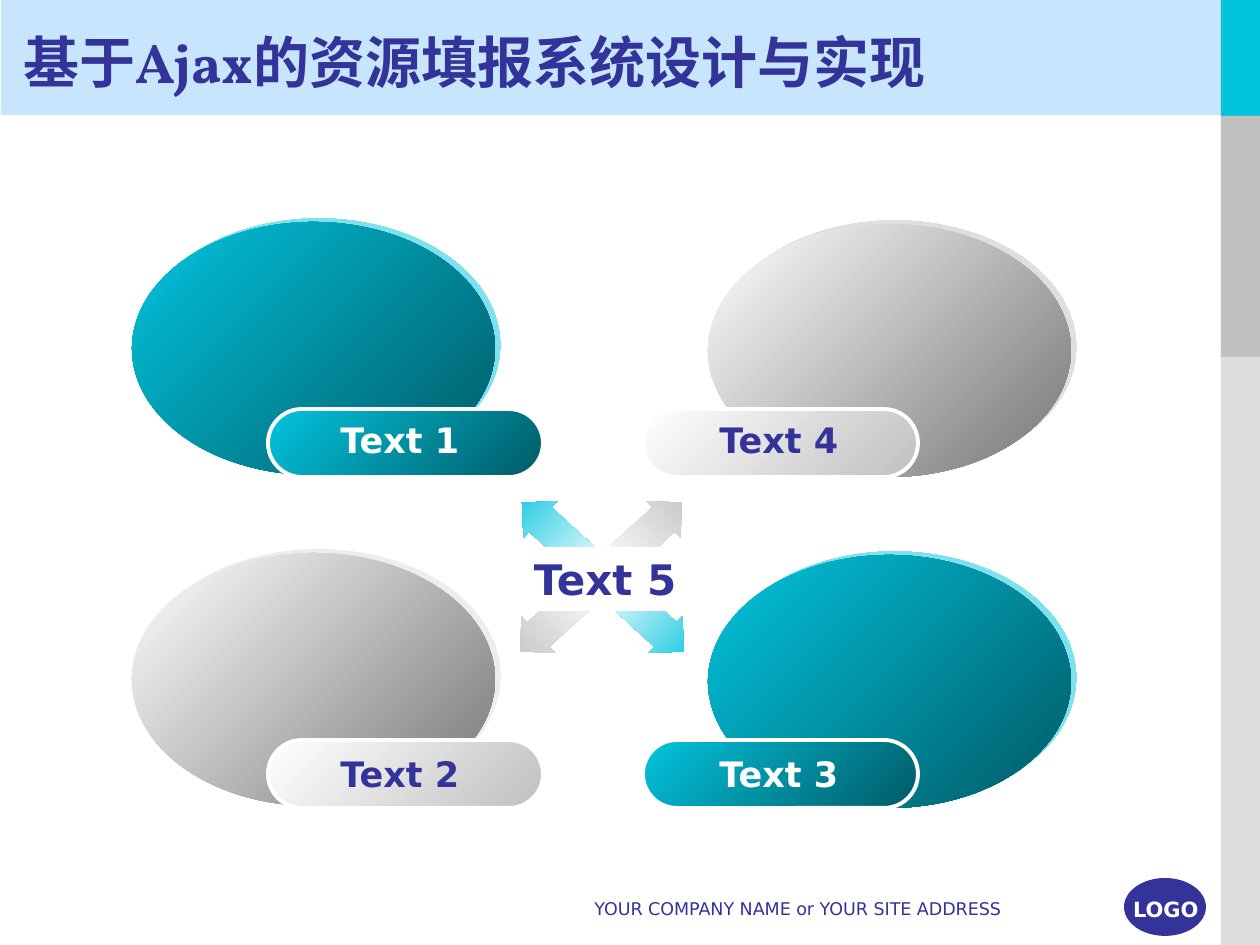
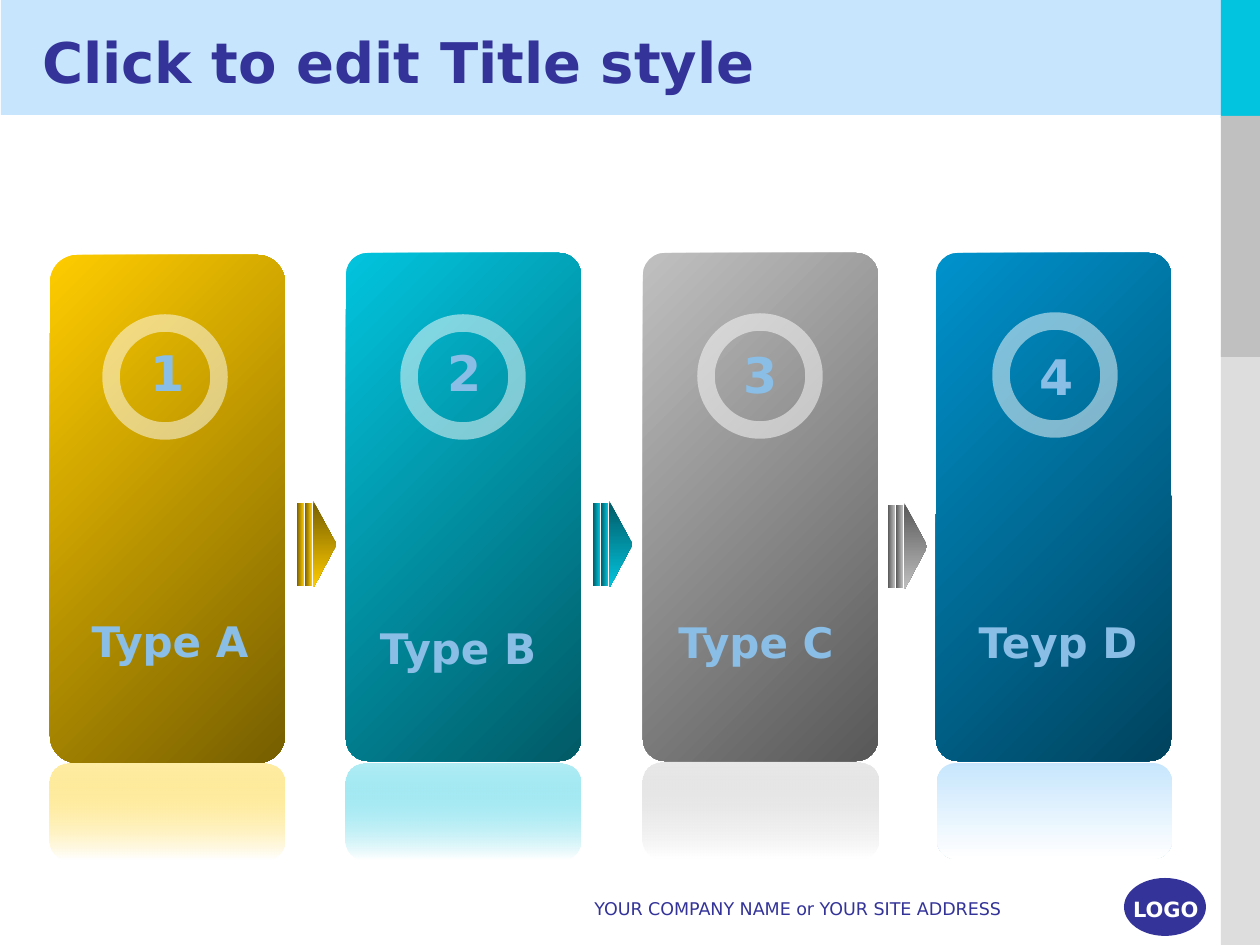
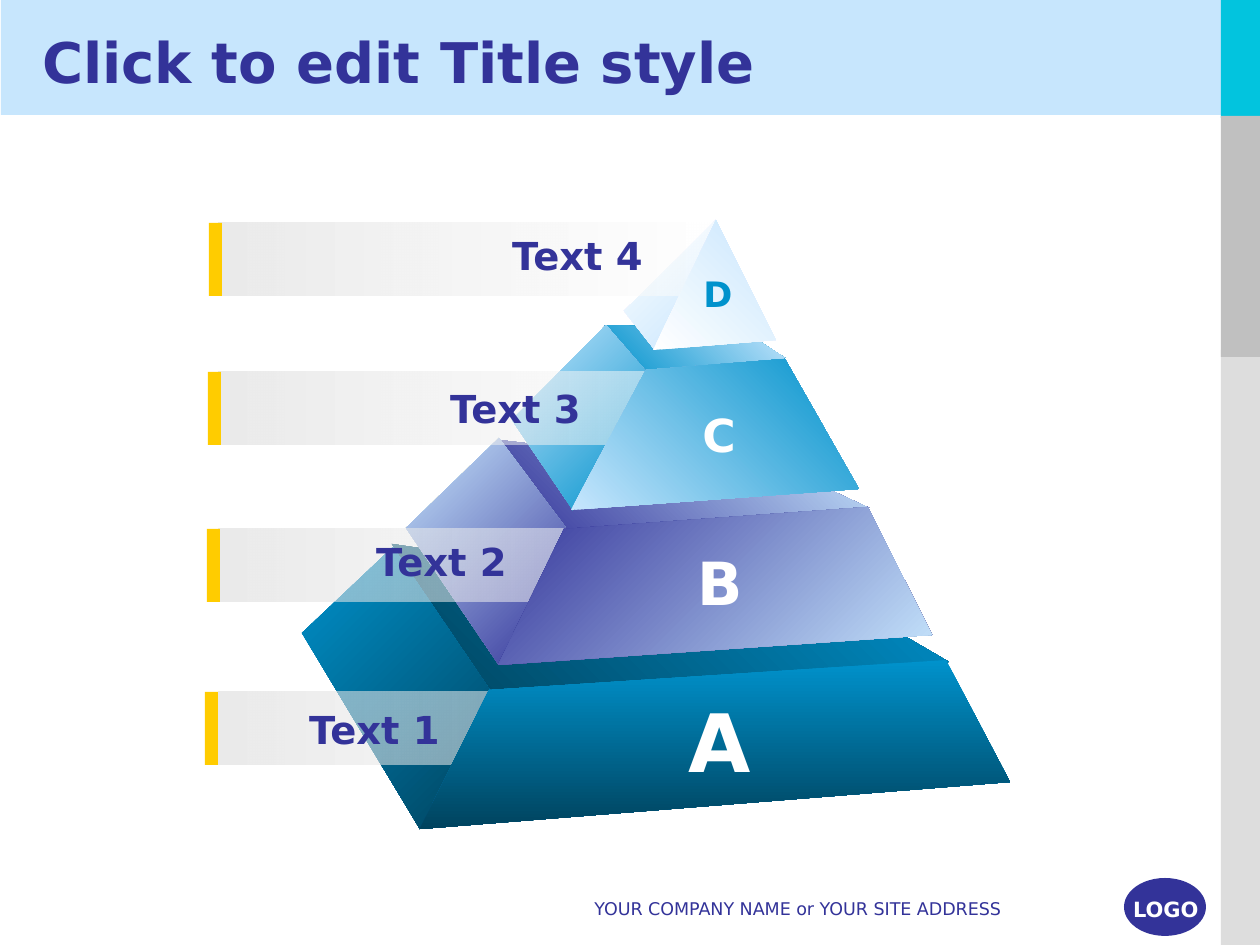
from dataclasses import dataclass

from lxml.etree import SubElement
from pptx import Presentation
from pptx.dml.color import RGBColor
from pptx.enum.shapes import MSO_SHAPE as Preset
from pptx.enum.text import MSO_ANCHOR as Anchor, PP_ALIGN as Align
from pptx.oxml.ns import qn
from pptx.util import Pt

PX = 914400 / 126


@dataclass(frozen=True)
class Theme:
    # Colours
    ink: str = "333399"
    white: str = "FFFFFF"
    pale: str = "C7E6FD"
    cyan: str = "02C4DE"
    cyan_dark: str = "015A66"
    gold: str = "FFCC00"
    gold_dark: str = "765E00"
    gray: str = "C0C0C0"
    gray_dark: str = "585858"
    gray_mid: str = "767676"
    gray_light: str = "DDDDDD"
    blue: str = "0092CC"
    blue_dark: str = "00435E"
    sky: str = "8ABEE6"
    # Fonts and type sizes
    font: str = "DejaVu Sans"
    cjk: str = "Noto Sans CJK SC"
    serif: str = "Vollkorn"
    title: int = 32
    number: int = 28
    heading: int = 24
    ribbon: int = 22
    label: int = 20
    logo: int = 12
    footer: int = 10


T = Theme()

# Content shared by all slides
BAND = (1, 0, 1259, 115)
SIDEBAR = [((1221, 350, 39, 595), T.gray_light),
           ((1221, 0, 39, 118), T.cyan),
           ((1221, 116, 39, 241), T.gray)]
LOGO = "LOGO"
FOOTER = "YOUR COMPANY NAME or YOUR SITE ADDRESS"
SAMPLE_TITLE = [("Click to edit Title style", T.font)]

# Slide 1: four ovals around a centre
AJAX_TITLE = [("基于", T.cjk), ("Ajax", T.serif), ("的资源填报系统设计与实现", T.cjk)]
CENTRE = "Text 5"
# text, column, row, is cyan, shadow colour
OVALS = [("Text 1", 0, 0, True, T.cyan),
         ("Text 4", 1, 0, False, T.gray),
         ("Text 2", 0, 1, False, T.gray_light),
         ("Text 3", 1, 1, True, T.cyan)]
# left, rotation, colour
CROSS_ARROWS = [(578, 312.6, T.cyan), (576, 47.4, T.gray)]

# Slide 2: number, name, colours, reflection (colour, opacity), then places
CARDS = [
    dict(number="1", name="Type A", fill=(T.gold, T.gold_dark), mirror=(T.gold, 35),
         card=(50, 255), corner=0.116, mirror_at=(49, 764), ring=(111, 323),
         number_at=(126, 333), name_at=(44, 591)),
    dict(number="2", name="Type B", fill=(T.cyan, T.cyan_dark), mirror=(T.cyan, 30),
         card=(346, 253), corner=0.092, mirror_at=(345, 764), ring=(409, 323),
         number_at=(423, 333), name_at=(332, 598)),
    dict(number="3", name="Type C", fill=(T.gray, T.gray_dark), mirror=(T.gray, 35),
         card=(643, 253), corner=0.092, mirror_at=(643, 763), ring=(706, 322),
         number_at=(719, 335), name_at=(630, 592)),
    dict(number="4", name="Teyp D", fill=(T.blue, T.blue_dark), mirror=(T.pale, 100),
         card=(936, 253), corner=0.092, mirror_at=(937, 763), ring=(1001, 321),
         number_at=(1015, 337), name_at=(932, 592)),
]
CHEVRON_OFFSETS = [(0, 0), (296, 0), (591, 2)]

# Slide 3: pyramid tiers from the base up; a face is points, colours, angle
TIERS = [
    dict(letter="A", size=46, letter_at=(629, 687, 181, 107),
         text="Text 1", ribbon=692, tab=205, text_right=452, text_top=702,
         lid=([(489, 690), (949, 662), (867, 614), (392, 544)],
              (T.blue_dark, T.blue), 315),
         side=([(420, 829), (490, 690), (393, 547), (302, 633)],
               (T.blue, T.blue_dark), 45),
         front=([(420, 829), (1010, 782), (946, 660), (489, 690)],
                (T.blue, T.blue_dark), 90)),
    dict(letter="B", size=34, letter_at=(662, 537, 116, 89),
         text="Text 2", ribbon=529, tab=207, text_right=519, text_top=534,
         lid=([(566, 530), (869, 508), (798, 475), (499, 440)],
              (T.ink, T.pale), 315),
         side=([(499, 665), (406, 528), (499, 438), (566, 528)],
               (T.pale, T.ink), 45),
         front=([(498, 665), (932, 635), (868, 507), (564, 529)],
                (T.ink, T.pale), 45)),
    dict(letter="C", size=26, letter_at=(678, 407, 82, 55),
         text="Text 3", ribbon=372, tab=208, text_right=593, text_top=381,
         lid=([(646, 372), (785, 358), (741, 329), (604, 325)],
              (T.blue, T.pale), 315),
         side=([(573, 510), (645, 370), (606, 325), (512, 420)],
               (T.pale, T.blue), 45),
         front=([(571, 510), (859, 489), (785, 359), (646, 370)],
                (T.pale, T.blue), 315)),
    dict(letter="D", size=20, letter_at=(677, 266, 82, 55),
         text="Text 4", ribbon=223, tab=209, text_right=655, text_top=228,
         side=([(654, 349), (624, 311), (716, 220)], (T.white, T.pale), 45),
         front=([(653, 350), (776, 340), (716, 220)], (T.white, T.pale), 315)),
]


# Drawing helpers
def emu(box):
    return [round(length * PX) for length in box]


def add_color(parent, color, opacity=100):
    node = SubElement(parent, qn("a:srgbClr"), val=color)
    if opacity < 100:
        SubElement(node, qn("a:alpha"), val=str(opacity * 1000))


def paint(shape, fill, angle=0):
    """Fill with nothing, one colour, or evenly spaced colours or (colour, opacity) stops."""
    shape.shadow.inherit = False
    shape.line.fill.background()
    if fill is None:
        shape.fill.background()
    elif isinstance(fill, str):
        shape.fill.solid()
        shape.fill.fore_color.rgb = RGBColor.from_string(fill)
    else:
        shape.fill.gradient()
        gradient = shape.element.spPr.find(qn("a:gradFill"))
        for child in list(gradient):
            gradient.remove(child)
        gradient.set("rotWithShape", "1")
        stops = SubElement(gradient, qn("a:gsLst"))
        for i, stop in enumerate(fill):
            place = SubElement(stops, qn("a:gs"), pos=str(100000 * i // (len(fill) - 1)))
            add_color(place, *((stop,) if isinstance(stop, str) else stop))
        SubElement(gradient, qn("a:lin"), ang=str(angle * 60000), scaled="0")
    return shape


def add_preset(slide, preset, box, fill, angle=0, adjust=()):
    shape = slide.shapes.add_shape(preset, *emu(box))
    for i, value in enumerate(adjust):
        shape.adjustments[i] = value
    return paint(shape, fill, angle)


def add_face(slide, points, colors, angle):
    outline = slide.shapes.build_freeform(*points[0], scale=PX)
    outline.add_line_segments(points[1:], close=True)
    paint(outline.convert_to_shape(), colors, angle)


def outline_shape(shape, color, width, opacity=100):
    shape.line.color.rgb = RGBColor.from_string(color)
    shape.line.width = Pt(width)
    if opacity < 100:
        solid = shape.line._get_or_add_ln().find(qn("a:solidFill"))
        solid.clear()
        add_color(solid, color, opacity)


def add_hard_shadow(shape, color):
    effects = shape.element.spPr.find(qn("a:effectLst"))
    shadow = SubElement(effects, qn("a:outerShdw"), blurRad="0", dist=str(Pt(3.6)),
                        dir=str(326 * 60000), algn="ctr", rotWithShape="0")
    add_color(shadow, color, 50)


def style(paragraph, size, color, align, bold):
    paragraph.alignment = align
    font = paragraph.font
    font.name, font.size, font.bold = T.font, Pt(size), bold
    font.color.rgb = RGBColor.from_string(color)


def add_label(slide, text, box, size, color=T.ink, align=Align.LEFT,
              bold=True, anchor=Anchor.MIDDLE):
    frame = slide.shapes.add_textbox(*emu(box)).text_frame
    frame.word_wrap = True
    frame.vertical_anchor = anchor
    frame.text = text
    style(frame.paragraphs[0], size, color, align, bold)
    return frame


def start_slide(deck, title, indent=0):
    """Add a slide with its band, sidebar, footer and title."""
    slide = deck.slides.add_slide(deck.slide_layouts[6])
    add_preset(slide, Preset.RECTANGLE, BAND, T.pale)
    add_preset(slide, Preset.OVAL, (1124, 878, 82, 58), T.ink)
    for box, color in SIDEBAR:
        add_preset(slide, Preset.RECTANGLE, box, color)
    add_label(slide, LOGO, (1108, 890, 103, 42), T.logo, T.white, Align.RIGHT,
              anchor=Anchor.TOP)
    add_label(slide, FOOTER, (582, 892, 546, 42), T.footer, bold=False, anchor=Anchor.TOP)
    heading = add_label(slide, "", (11 + indent, 19, 1081, 84), T.title).paragraphs[0]
    for text, font in title:
        run = heading.add_run()
        run.text = text
        run.font.name = font
        SubElement(run.font._element, qn("a:ea"), typeface=font)
    return slide


# Slides
def build_ovals(deck):
    slide = start_slide(deck, AJAX_TITLE)
    for left, rotation, color in CROSS_ARROWS:
        arrow = add_preset(slide, Preset.UP_DOWN_ARROW, (left, 467, 50, 220),
                           (color, T.white, color), 90, (0.431, 0.664))
        arrow.rotation = rotation
    for _, column, row, is_cyan, shade in OVALS:
        colors = (T.cyan, T.cyan_dark) if is_cyan else (T.white, T.gray_mid)
        box = (132 + 576 * column, 222 + 331 * row + 2 * column, 363, 253)
        add_hard_shadow(add_preset(slide, Preset.OVAL, box, colors, 45), shade)
    for text, column, row, is_cyan, _ in OVALS:
        colors = (T.cyan, T.cyan_dark) if is_cyan else (T.white, T.gray)
        pill = add_preset(slide, Preset.ROUNDED_RECTANGLE,
                          (268 + 375 * column, 409 + 331 * row, 275, 68),
                          colors, 45, (0.5,))
        outline_shape(pill, T.white, 2.25)
        add_label(slide, text, (328 + 379 * column, 412 + 334 * row, 188, 54),
                  T.label, T.white if is_cyan else T.ink)
    centre = (501, 547, 208, 64)
    add_preset(slide, Preset.RECTANGLE, centre, T.white)
    add_label(slide, CENTRE, centre, T.heading, align=Align.CENTER)


def build_cards(deck):
    slide = start_slide(deck, SAMPLE_TITLE, indent=19)
    for card in CARDS:
        add_preset(slide, Preset.ROUNDED_RECTANGLE, (*card["card"], 235, 508),
                   card["fill"], 45, (card["corner"],))
        add_preset(slide, Preset.ROUNDED_RECTANGLE, (*card["mirror_at"], 235, 96),
                   (card["mirror"], T.white), 90, (0.194,))
        ring = add_preset(slide, Preset.OVAL, (*card["ring"], 108, 108), None)
        outline_shape(ring, T.white, 10, 50)
        add_label(slide, card["number"], (*card["number_at"], 82, 78),
                  T.number, T.sky, Align.CENTER)
        add_label(slide, card["name"], (*card["name_at"], 252, 100),
                  T.heading, T.sky, Align.CENTER)
    # Striped arrow after each card but the last
    for card, (dx, dy) in zip(CARDS, CHEVRON_OFFSETS):
        colors = card["fill"][::-1]
        tip = add_preset(slide, Preset.ISOSCELES_TRIANGLE,
                         (282 + dx, 533 + dy, 86, 23), colors)
        tip.rotation = 90
        for stripe in range(2):
            add_preset(slide, Preset.RECTANGLE,
                       (297 + 8 * stripe + dx, 503 + dy, 7, 83), colors)


def build_pyramid(deck):
    slide = start_slide(deck, SAMPLE_TITLE, indent=19)
    for part in ("lid", "side"):
        for tier in TIERS:
            if part in tier:
                add_face(slide, *tier[part])
    # Ribbons lie over the sides and under the fronts
    for tier in TIERS:
        add_preset(slide, Preset.RECTANGLE, (218, tier["ribbon"], 496, 73),
                   ((T.gray_light, 60), (T.white, 50)))
        add_preset(slide, Preset.RECTANGLE, (tier["tab"], tier["ribbon"], 13, 73), T.gold)
        add_label(slide, tier["text"], (tier["text_right"] - 230, tier["text_top"], 230, 55),
                  T.ribbon, align=Align.RIGHT)
    for tier in TIERS:
        add_face(slide, *tier["front"])
        add_label(slide, tier["letter"], tier["letter_at"], tier["size"],
                  T.blue if tier["letter"] == "D" else T.white, Align.CENTER)


def main():
    deck = Presentation()
    deck.slide_width, deck.slide_height = emu((1260, 945))
    build_ovals(deck)
    build_cards(deck)
    build_pyramid(deck)
    deck.save("out.pptx")


if __name__ == "__main__":
    main()
